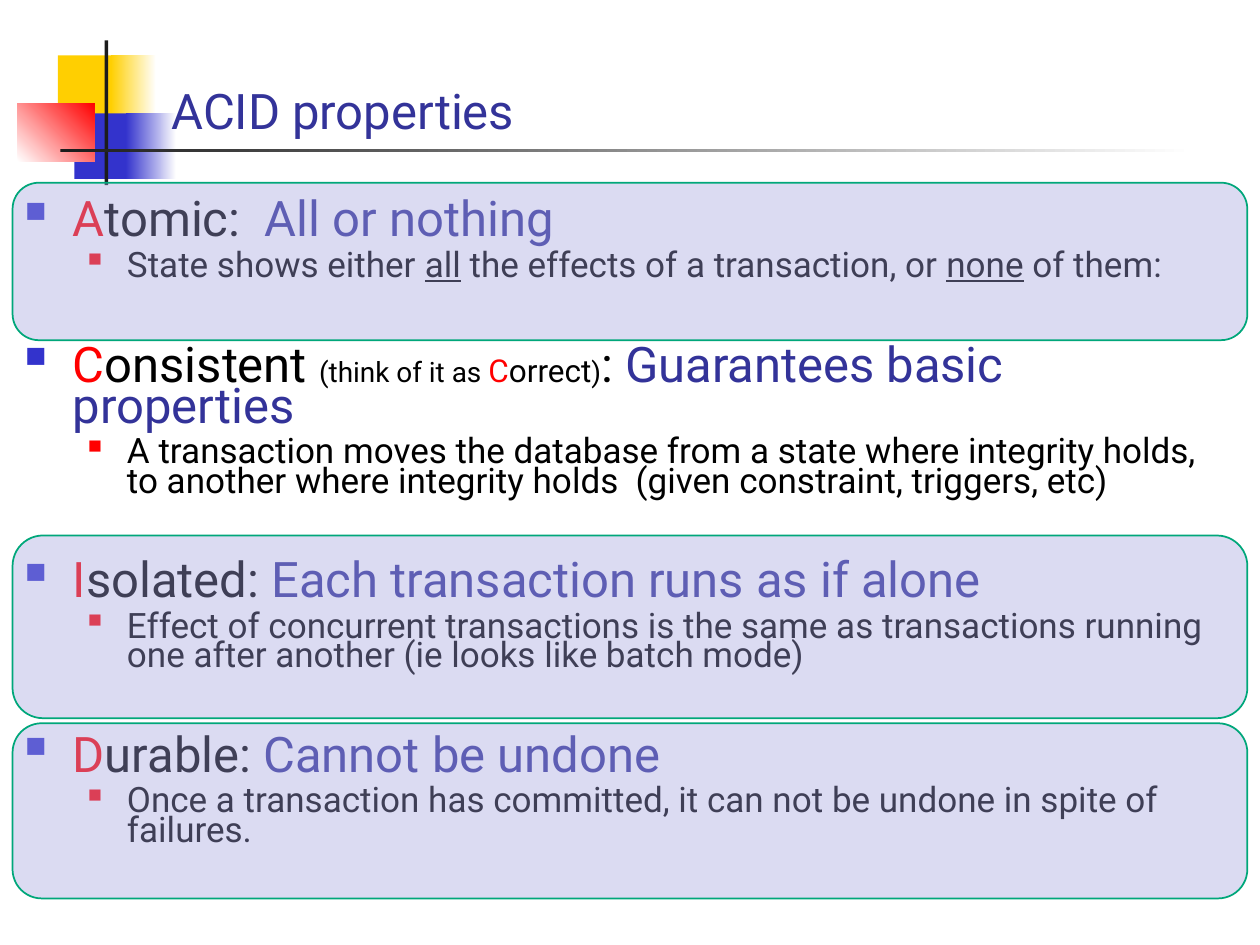
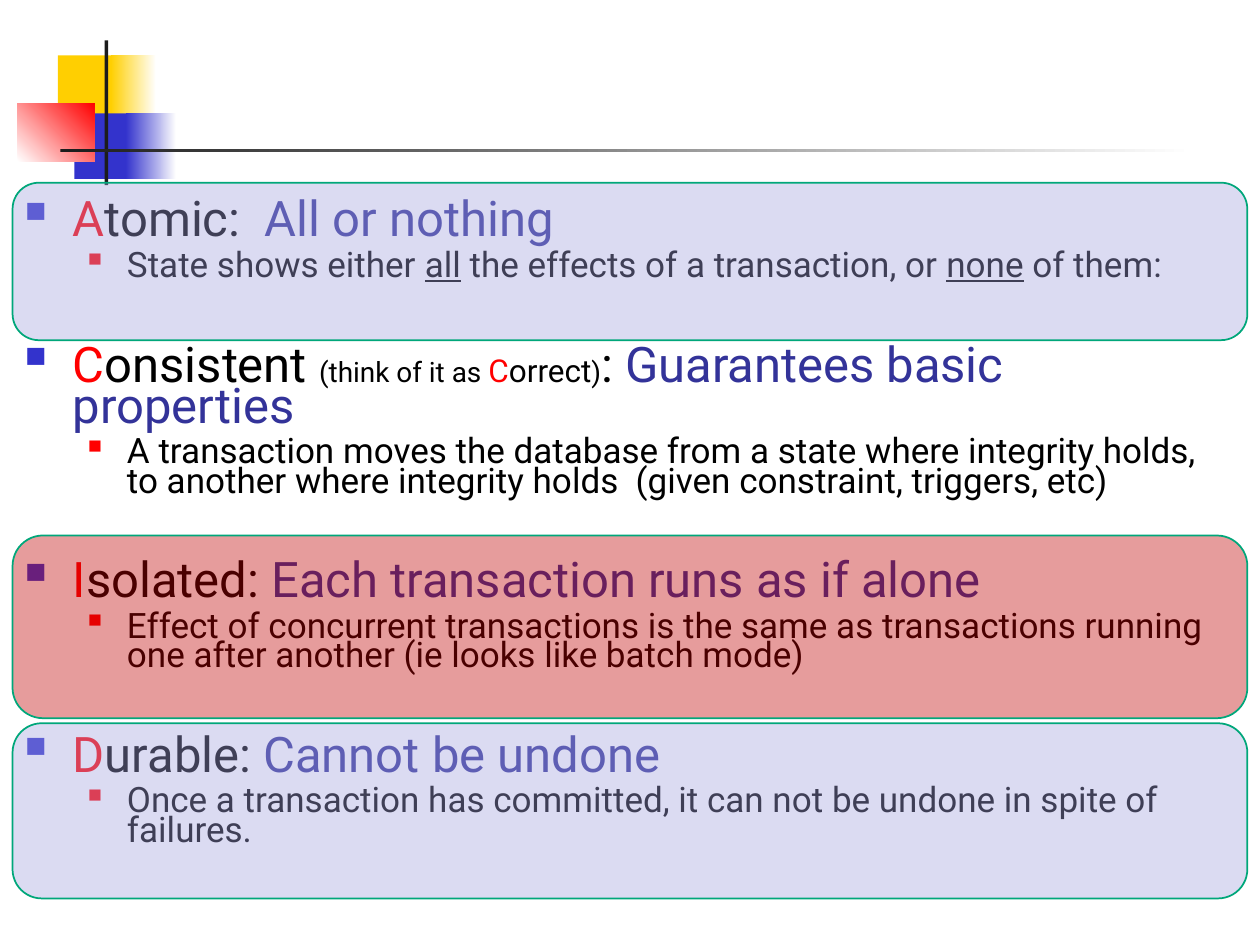
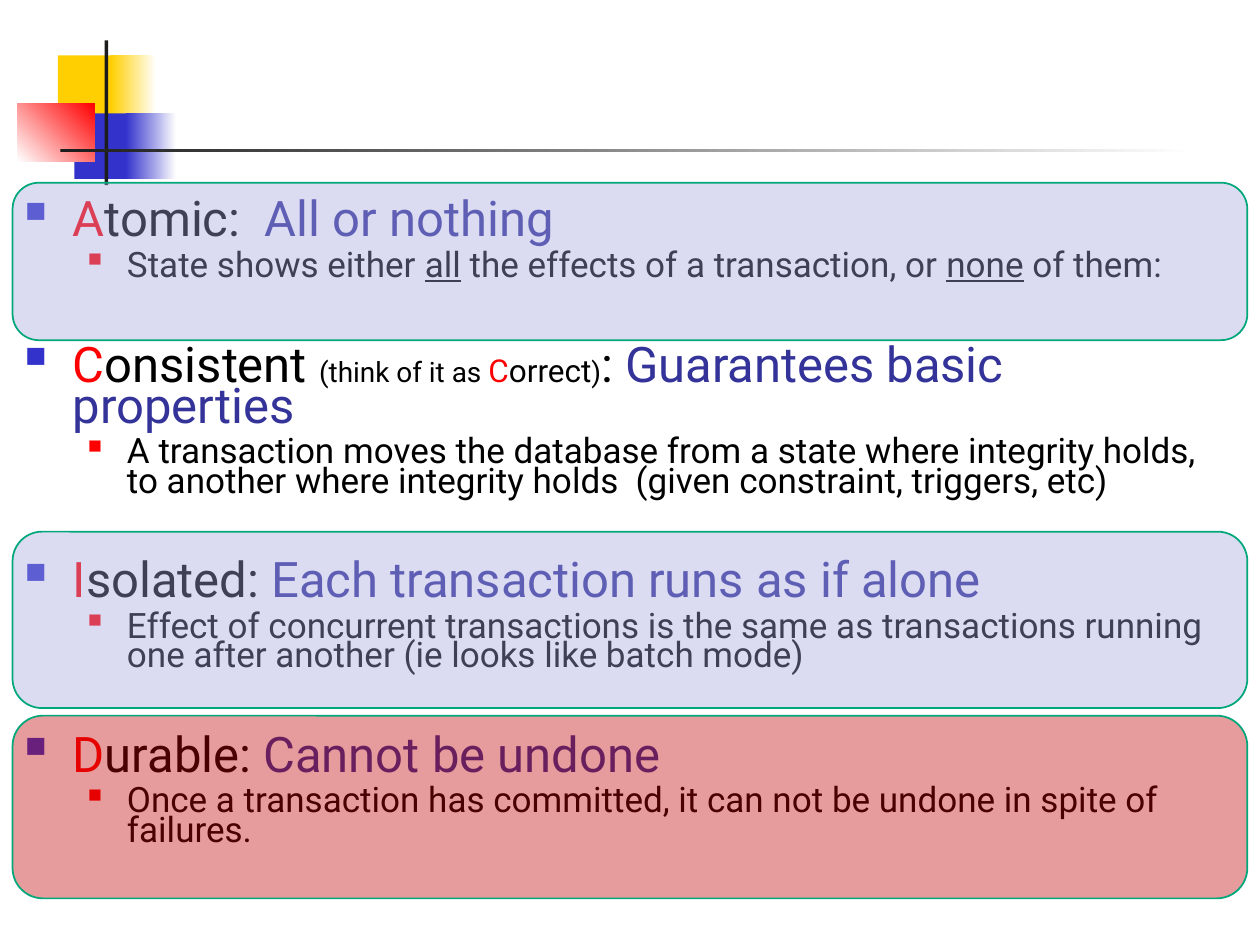
"""Build three slides on the ACID properties of transactions."""
from pptx import Presentation
from pptx import util as u
from pptx.dml import color
from pptx.enum import shapes, text
from pptx.oxml import ns, xmlchemy as xml

INK, RED, NAVY, BLUE = "000000", "FF0000", "333399", "3333CC"
DARK, GOLD, WHITE = "1C1C1C", "FFCF01", "FFFFFF"
LILAC, ROSE, GREEN = "A3A3E0", "C00000", "00A77A"
RECT, ROUND = shapes.MSO_SHAPE.RECTANGLE, shapes.MSO_SHAPE.ROUNDED_RECTANGLE

MOTIF = [
    ((0.46, 0.44, 0.48, 0.52), [GOLD], 0),
    ((0.88, 0.44, 0.36, 0.52), [GOLD, WHITE], 0),
    ((0.59, 0.9, 0.46, 0.52), [BLUE], 0),
    ((1, 0.9, 0.4, 0.52), [BLUE, WHITE], 0),
    ((0.14, 0.82, 0.61, 0.46), [WHITE, RED], 45),
    ((0.83, 0.32, 0.03, 1.15), [DARK], 0),
    ((0.48, 1.18, 9, 0.03), [DARK, WHITE], 0),
]

HEAD = dict(size=28, left=0.38, hang=0.38, dot=BLUE, scale=60)
SUB = dict(size=20, left=0.81, hang=0.31, dot=RED, scale=55)
GAP = 37.6
LINES = [
    (HEAD, 0, [("A", RED), ("tomic:  ", INK), ("All or nothing", NAVY)]),
    (SUB, 5, [("State shows either ", INK), ("all", INK, 20, True),
              (" the effects of a transaction, or ", INK),
              ("none", INK, 20, True), (" of them:", INK)]),
    (HEAD, GAP, [("C", RED), ("onsistent ", INK), ("(think of it as ", INK, 16),
                 ("C", RED, 18), ("orrect", INK, 18), (")", INK, 16),
                 (": ", INK), ("Guarantees basic properties", NAVY)]),
    (SUB, 5, [("A transaction moves the database from a state where integrity "
               "holds, to another where integrity holds  (given constraint, "
               "triggers, etc)", INK)]),
    (HEAD, GAP, [("I", RED), ("solated: ", INK),
                 ("Each transaction runs as if alone", NAVY)]),
    (SUB, 5, [("Effect of concurrent transactions is the same as transactions "
               "running one after another (ie looks like batch mode)", INK)]),
    (HEAD, GAP, [("D", RED), ("urable: ", INK), ("Cannot be undone", NAVY)]),
    (SUB, 5, [("Once a transaction has committed, it can not be undone in "
               "spite of failures.", INK)]),
]

SLIDES = [
    ("ACID properties",
     [(1.45, 1.25, LILAC), (4.25, 1.45, LILAC), (5.74, 1.39, LILAC)]),
    (None, [(1.45, 1.25, LILAC), (4.25, 1.45, ROSE), (5.74, 1.39, LILAC)]),
    (None, [(1.45, 1.25, LILAC), (4.22, 1.4, LILAC), (5.68, 1.45, ROSE)]),
]


def paint(form, tone):
    """Give a fill or font colour format its hex colour."""
    form.rgb = color.RGBColor.from_string(tone)


def draw(slide, kind, place, tones, angle=0):
    """Add a shape without line or shadow, filled flat or by gradient."""
    shape = slide.shapes.add_shape(kind, *map(u.Inches, place))
    shape.shadow.inherit = False
    shape.line.fill.background()
    if len(tones) == 1:
        shape.fill.solid()
        paint(shape.fill.fore_color, tones[0])
    else:
        shape.fill.gradient()
        shape.fill.gradient_angle = angle
        for stop, tone in zip(shape.fill.gradient_stops, tones):
            paint(stop.color, tone)
    return shape


deck = Presentation()
deck.slide_width, deck.slide_height = u.Inches(10), u.Inches(7.5)

for name, bands in SLIDES:
    slide = deck.slides.add_slide(deck.slide_layouts[5 if name else 6])
    for place, tones, angle in MOTIF:
        draw(slide, RECT, place, tones, angle)

    if name:
        title = slide.shapes.title
        title.element.getparent().append(title.element)
        title.left, title.top = u.Inches(1.26), u.Inches(0.23)
        title.width, title.height = u.Inches(9.35), u.Inches(0.93)
        frame = title.text_frame
        frame.text = name
        frame.vertical_anchor = text.MSO_ANCHOR.BOTTOM
        para = frame.paragraphs[0]
        para.alignment = text.PP_ALIGN.LEFT
        para.font.name, para.font.size = "Roboto", u.Pt(28)
        paint(para.font.color, NAVY)

    body = slide.shapes.add_textbox(*map(u.Inches, (0.1, 1.57, 9.8, 5.93)))
    body.fill.solid()
    paint(body.fill.fore_color, WHITE)
    frame = body.text_frame
    frame.word_wrap = True
    for row, (style, space, runs) in enumerate(LINES):
        para = frame.add_paragraph() if row else frame.paragraphs[0]
        props = para._p.get_or_add_pPr()
        props.set("marL", str(u.Inches(style["left"])))
        props.set("indent", str(-u.Inches(style["hang"])))
        tint = xml.OxmlElement("a:buClr")
        tint.append(xml.OxmlElement("a:srgbClr"))
        tint[0].set("val", style["dot"])
        scale = xml.OxmlElement("a:buSzPct")
        scale.set("val", str(style["scale"] * 1000))
        mark = xml.OxmlElement("a:buChar")
        mark.set("char", "■")
        props.extend([tint, scale, mark])
        para.line_spacing, para.space_before = 0.7, u.Pt(space)
        para.font.name, para.font.size = "Roboto", u.Pt(style["size"])
        for words, tone, *extra in runs:
            run = para.add_run()
            run.text = words
            paint(run.font.color, tone)
            if extra:
                run.font.size = u.Pt(extra[0])
                run.font.underline = True if extra[1:] else None

    for top, height, tone in bands:
        band = draw(slide, ROUND, (0.1, top, 9.8, height), [tone])
        alpha = xml.OxmlElement("a:alpha")
        alpha.set("val", "39000")
        band.element.spPr.find(".//" + ns.qn("a:srgbClr")).append(alpha)
        paint(band.line.color, GREEN)
        band.line.width = u.Pt(1)

deck.save("out.pptx")
